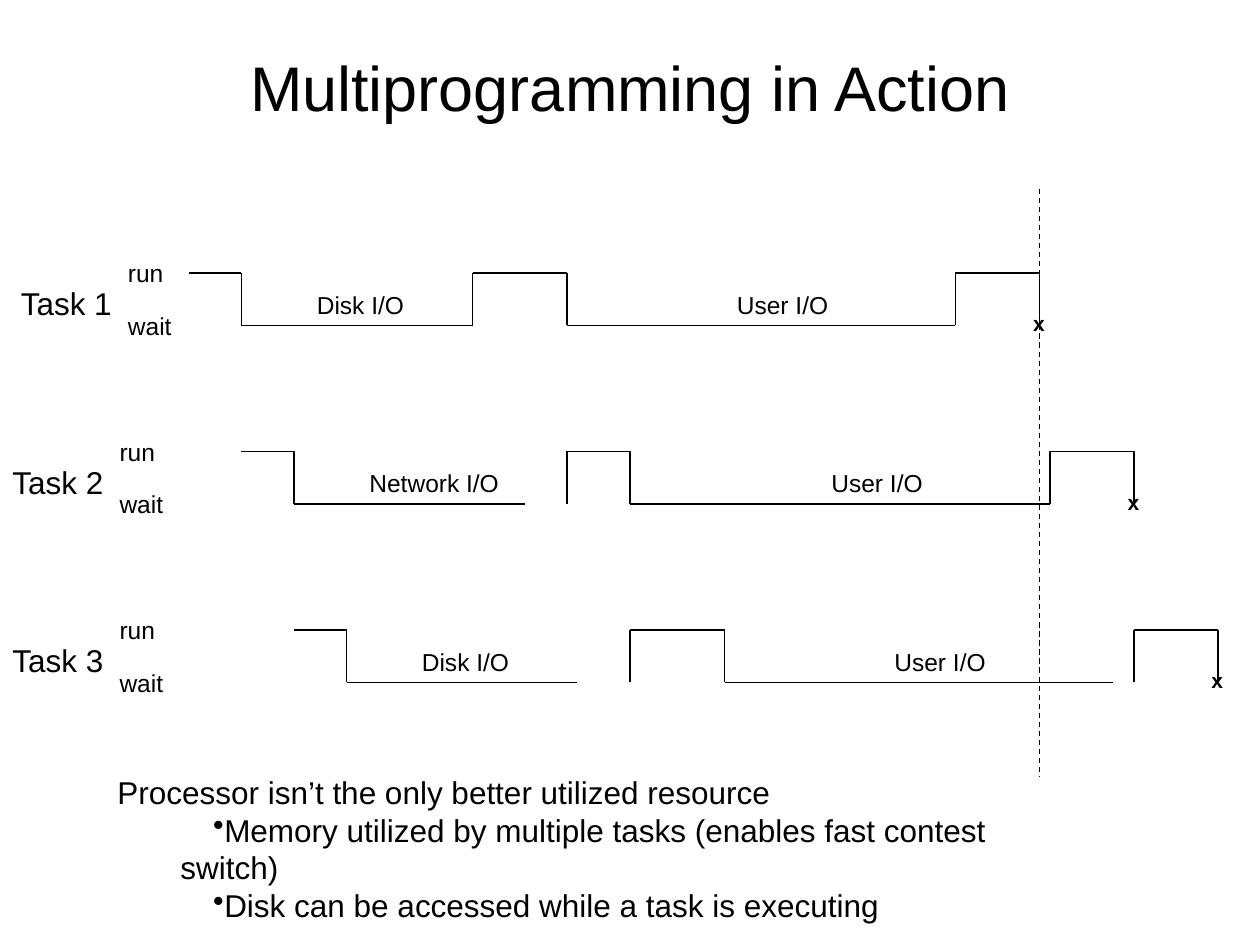
import pptx
import pptx.util
import pptx.dml.color
import pptx.enum.dml
import pptx.enum.shapes
import pptx.enum.text
import pptx.oxml
import pptx.oxml.ns
import lxml.etree

BLACK = pptx.dml.color.RGBColor(0, 0, 0)
WHITE = pptx.dml.color.RGBColor(255, 255, 255)
COLUMNS, ROWS = 120, 90  # grid of the slide: twelve cells to the inch

deck = pptx.Presentation()
deck.slide_width = pptx.util.Inches(10)
deck.slide_height = pptx.util.Inches(7.5)
column = deck.slide_width / COLUMNS
row = deck.slide_height / ROWS
slide = deck.slides.add_slide(deck.slide_layouts[5])
slide.background.fill.solid()
slide.background.fill.fore_color.rgb = WHITE


def write(x, y, width, height, lines, size, bold=False, wrap=False):
    """Place a text box on the grid, one paragraph for each line."""
    box = slide.shapes.add_textbox(
        round(x * column), round(y * row), round(width * column), round(height * row))
    box.text_frame.word_wrap = wrap
    box.text_frame.text = "\n".join(lines)
    for paragraph in box.text_frame.paragraphs:
        font_format = {"name": "Arial", "size": pptx.util.Pt(size), "bold": bold}
        for key, value in font_format.items():
            setattr(paragraph.runs[0].font, key, value)
        paragraph.runs[0].font.color.rgb = BLACK
    return box.text_frame


def draw(x1, y1, x2, y2):
    """Draw a thin straight line between two grid points."""
    connector = slide.shapes.add_connector(
        pptx.enum.shapes.MSO_CONNECTOR.STRAIGHT,
        round(x1 * column), round(y1 * row), round(x2 * column), round(y2 * row))
    connector.line.color.rgb = BLACK
    connector.line.width = pptx.util.Pt(0.75)
    lxml.etree.SubElement(connector._element.spPr, pptx.oxml.ns.qn("a:effectLst"))
    return connector


# Title
title = slide.shapes.title
title_place = {"left": round(3 * column), "top": round(3 * row),
               "width": round(114 * column), "height": round(10.5 * row)}
for key, value in title_place.items():
    setattr(title, key, value)
title.text_frame.text = "Multiprogramming in Action"
title.text_frame.vertical_anchor = pptx.enum.text.MSO_ANCHOR.MIDDLE
heading = title.text_frame.paragraphs[0]
heading.alignment = pptx.enum.text.PP_ALIGN.CENTER
for key, value in {"name": "Arial", "size": pptx.util.Pt(36), "bold": False}.items():
    setattr(heading.runs[0].font, key, value)
heading.runs[0].font.color.rgb = BLACK

# Timelines: label column, columns where the state changes, labels of the waits
# State changes: start, block, I/O done, resume, block, I/O done, resume, exit
FIRST_ROW, TASK_PITCH, DROP = 26, 17, 5
tasks = [
    ("Task 1", 0.8, (18, 23, 45, 45, 54, 91, 91, 99),
     (("Disk I/O", 29, 10.8), ("User I/O", 69, 11.2))),
    ("Task 2", 0, (23, 28, 50, 54, 60, 100, 100, 108),
     (("Network I/O", 34, 14.9), ("User I/O", 78, 11.2))),
    ("Task 3", 0, (28, 33, 55, 60, 69, 106, 108, 116),
     (("Disk I/O", 39, 10.8), ("User I/O", 84, 11.2))),
]
for index, (task, label_column, changes, waits) in enumerate(tasks):
    run = FIRST_ROW + index * TASK_PITCH
    wait = run + DROP
    write(label_column, run + 0.5, 11.2, 4.8, [task], 18)
    write(label_column + 10.2, run - 2, 5.9, 4.1, ["run"], 14)
    write(label_column + 10.2, wait - 2, 6.6, 4.1, ["wait"], 14)
    for reason, reason_column, reason_width in waits:
        write(reason_column, run + 1, reason_width, 4.1, [reason], 14)

    start, block_1, done_1, resume_1, block_2, done_2, resume_2, leave = changes
    for left, right in ((start, block_1), (resume_1, block_2), (resume_2, leave)):
        draw(left, run, right, run)
    for left, right in ((block_1, done_1), (block_2, done_2)):
        draw(left, wait, right, wait)
    for edge in (block_1, resume_1, block_2, resume_2, leave):
        draw(edge, run, edge, wait)
    write(leave - 1.8, wait - 2, 3.7, 3.6, ["x"], 12, bold=True)

# Conclusions, with bullets on all but the first line
conclusions = write(10, 73, 95, 15.7, [
    "Processor isn’t the only better utilized resource",
    "Memory utilized by multiple tasks (enables fast contest switch)",
    "Disk can be accessed while a task is executing",
], 18, wrap=True)
for point in conclusions.paragraphs[1:]:
    point.level = 1
    properties = point._p.get_or_add_pPr()
    properties.set("marL", str(pptx.util.Inches(0.5)))
    properties.set("indent", str(pptx.util.Inches(0.26)))
    bullet = lxml.etree.SubElement(properties, pptx.oxml.ns.qn("a:buChar"))
    bullet.set("char", "•")

# Moment when the first task ends
first_exit = draw(99, 18, 99, 74)
first_exit.line.dash_style = pptx.enum.dml.MSO_LINE.DASH

deck.save("out.pptx")
